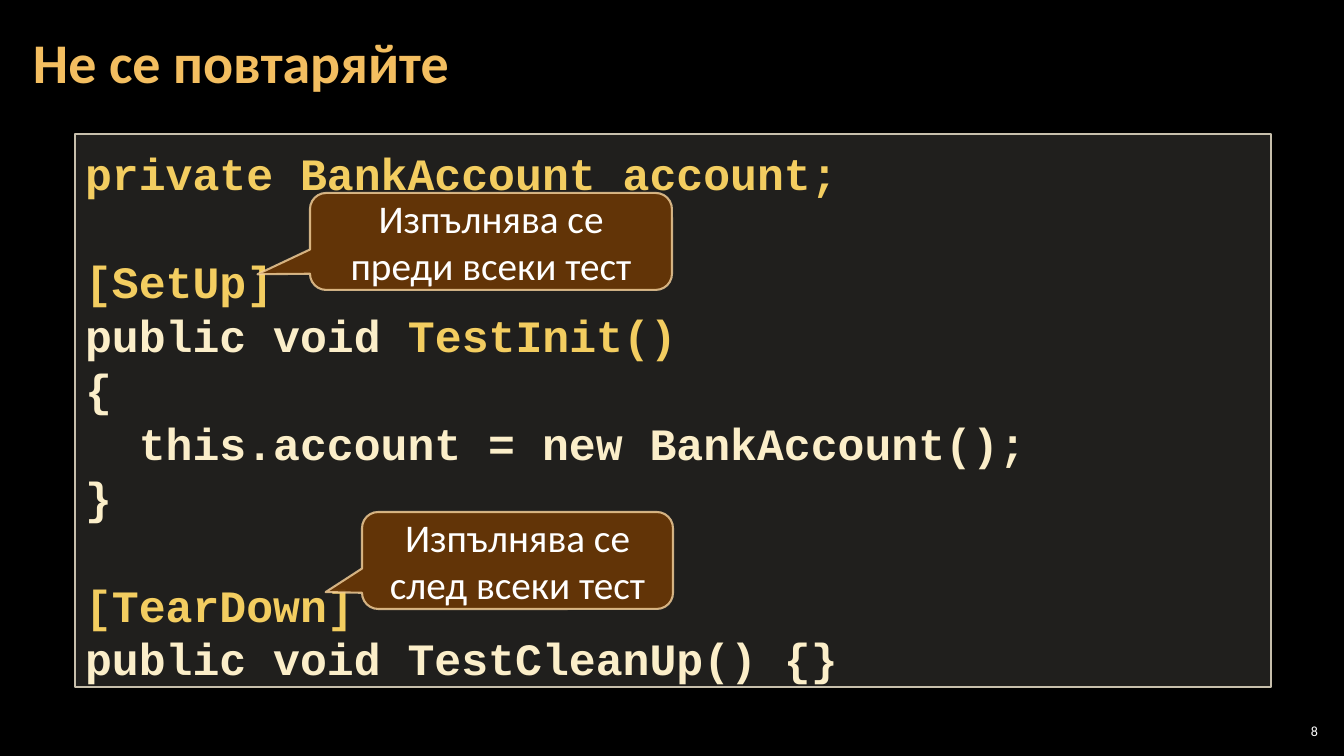
import pptx
import pptx.dml.color
import pptx.enum.shapes
import pptx.enum.text
import pptx.oxml
import pptx.oxml.ns
import pptx.util

RGB = pptx.dml.color.RGBColor
Pt = pptx.util.Pt
SHAPE = pptx.enum.shapes.MSO_SHAPE
ALIGN = pptx.enum.text.PP_ALIGN
ANCHOR = pptx.enum.text.MSO_ANCHOR

BLACK = RGB(0x00, 0x00, 0x00)
WHITE = RGB(0xFF, 0xFF, 0xFF)
TITLE_GOLD = RGB(0xF3, 0xBE, 0x60)
CODE_GOLD = RGB(0xF3, 0xCD, 0x60)
CODE_CREAM = RGB(0xFB, 0xEE, 0xC9)
PANEL_FILL = RGB(0xD9, 0xD5, 0xC7)
PANEL_LINE = RGB(0xC7, 0xBF, 0xAC)
CALLOUT_FILL = RGB(0x66, 0x36, 0x06)
CALLOUT_LINE = RGB(0xF8, 0xD4, 0x9E)

PX = 914400 / 100.8
CODE_PITCH = Pt(38.5)


def place(kind, box, insets):
    """Add a shape, or a text box when kind is None, measured in px."""
    emu = [round(v * PX) for v in box]
    if kind is None:
        shape = slide.shapes.add_textbox(*emu)
    else:
        shape = slide.shapes.add_shape(kind, *emu)
        shape.shadow.inherit = False
    frame = shape.text_frame
    frame.word_wrap = True
    frame.vertical_anchor = ANCHOR.MIDDLE
    frame.margin_left, frame.margin_top, frame.margin_right, frame.margin_bottom = [
        round(v * PX) for v in insets]
    return shape


def paint(color_format, color, opacity):
    """Set a solid fill's colour and its opacity in percent."""
    color_format.solid()
    color_format.fore_color.rgb = color
    srgb = color_format._xPr.find(".//" + pptx.oxml.ns.qn("a:srgbClr"))
    srgb.append(pptx.oxml.parse_xml(
        f'<a:alpha {pptx.oxml.ns.nsdecls("a")} val="{opacity * 1000}"/>'))


deck = pptx.Presentation()
deck.slide_width = round(1344 * PX)
deck.slide_height = round(756 * PX)
slide = deck.slides.add_slide(deck.slide_layouts[6])
slide.background.fill.solid()
slide.background.fill.fore_color.rgb = BLACK

# Title and slide number
labels = [
    ("Не се повтаряйте", (21, 4, 1301, 122), (12, 4, 12, 4), 40, TITLE_GOLD, True, ALIGN.LEFT, 0.9),
    ("8", (1275, 720, 47, 21), (4, 4, 4, 4), 10, WHITE, False, ALIGN.RIGHT, 1.0),
]
for text, box, insets, size, color, bold, align, spacing in labels:
    paragraph = place(None, box, insets).text_frame.paragraphs[0]
    paragraph.text = text
    paragraph.alignment = align
    paragraph.line_spacing = spacing
    font = paragraph.runs[0].font
    font.name, font.size, font.bold = "Calibri", Pt(size), bold
    font.color.rgb = color

# Code panel: (blank lines before, coloured pieces)
code_lines = [
    (0, [("private BankAccount account;", CODE_GOLD)]),
    (1, [("[SetUp]", CODE_GOLD)]),
    (0, [("public void ", CODE_CREAM), ("TestInit()", CODE_GOLD)]),
    (0, [("{", CODE_CREAM)]),
    (0, [("  this.account = new BankAccount();", CODE_CREAM)]),
    (0, [("}", CODE_CREAM)]),
    (1, [("[TearDown]", CODE_GOLD)]),
    (0, [("public void TestCleanUp() {}", CODE_CREAM)]),
]
panel = place(SHAPE.RECTANGLE, (75, 134, 1196, 553), (10, 12, 10, 0))
paint(panel.fill, PANEL_FILL, 15)
panel.line.color.rgb = PANEL_LINE
panel.line.width = Pt(1)
code = panel.text_frame
code.vertical_anchor = ANCHOR.TOP
for index, (blank_before, pieces) in enumerate(code_lines):
    paragraph = code.add_paragraph() if index else code.paragraphs[0]
    paragraph.alignment = ALIGN.LEFT
    paragraph.line_spacing = CODE_PITCH
    if blank_before:
        paragraph.space_before = blank_before * CODE_PITCH
    for text, color in pieces:
        run = paragraph.add_run()
        run.text = text
        run.font.name, run.font.size, run.font.bold = "Courier New", Pt(32), True
        run.font.color.rgb = color

# Callouts
callouts = [
    ("Изпълнява се преди всеки тест", (310, 193, 362, 97), (-0.645, 0.338)),
    ("Изпълнява се след всеки тест", (362, 512, 311, 97), (-0.617, 0.326)),
]
for text, box, tip in callouts:
    callout = place(SHAPE.ROUNDED_RECTANGULAR_CALLOUT, box, (10, 5, 10, 5))
    callout.adjustments[0], callout.adjustments[1] = tip
    paint(callout.fill, CALLOUT_FILL, 95)
    paint(callout.line.fill, CALLOUT_LINE, 80)
    callout.line.width = Pt(1.5)
    paragraph = callout.text_frame.paragraphs[0]
    paragraph.text = text
    paragraph.alignment = ALIGN.CENTER
    font = paragraph.runs[0].font
    font.name, font.size = "Calibri", Pt(28)
    font.color.rgb = WHITE

deck.save("out.pptx")
